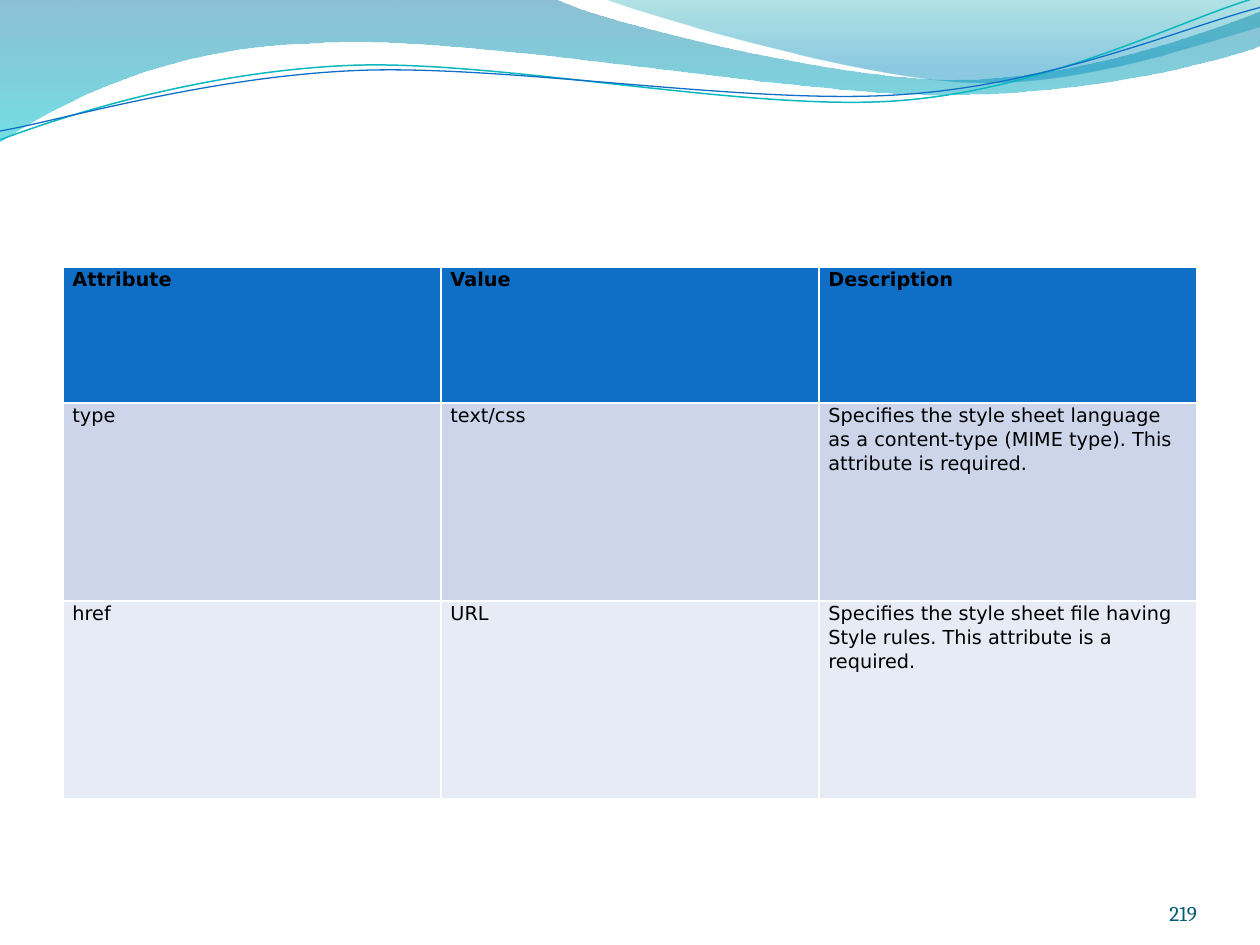
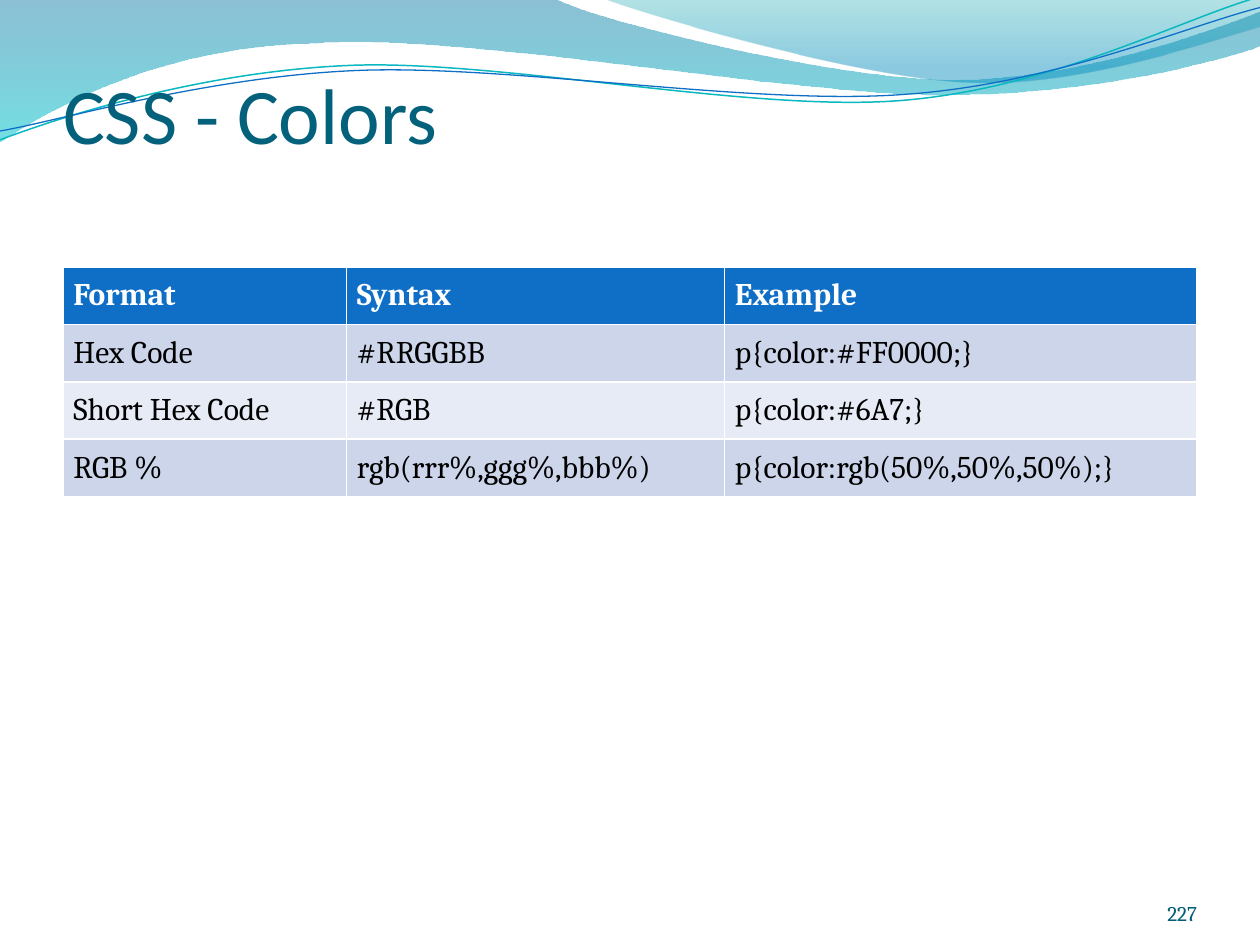
from dataclasses import dataclass

from lxml import etree
from pptx import Presentation
from pptx.dml.color import RGBColor
from pptx.enum.text import MSO_ANCHOR, MSO_AUTO_SIZE, PP_ALIGN
from pptx.oxml.ns import qn
from pptx.util import Inches, Pt

LEFT, RIGHT = PP_ALIGN.LEFT, PP_ALIGN.RIGHT
BOTTOM = MSO_ANCHOR.BOTTOM
NO_FIT = MSO_AUTO_SIZE.NONE

WIDTH, HEIGHT = 10, 7.5
MARGIN = 0.05 * WIDTH
COLUMN = (WIDTH - 2 * MARGIN) / 12
TABLE_TOP = 2.12


@dataclass(frozen=True)
class Theme:
    title: str = "04617B"
    number: str = "045D75"
    header: str = "0F6FC6"
    bands: tuple = ("CCD5EA", "E7EBF5")
    dark: str = "000000"
    light: str = "FFFFFF"
    teal_line: str = "0AB8BF"
    blue_line: str = "0F6FC6"
    title_font: str = "Calibri"
    body_font: str = "Cambria"
    title_size: float = 45
    number_size: float = 12


@dataclass(frozen=True)
class TableStyle:
    """Text settings of a table, with insets in points."""
    font: str
    size: float
    header_color: str
    inset_x: float
    inset_y: float
    line_spacing: float


THEME = Theme()
ROOMY = TableStyle("DejaVu Sans", 11, THEME.dark, 5.4, 0, 1.07)
COMPACT = TableStyle(THEME.body_font, 18, THEME.light, 6, 6, 1.0)

# Each outline is a list of steps: two numbers for a line, six for a Bézier curve.
WIDE_WAVE = [
    (0, 0), (4.4, -0.01),
    (4.76, 0.17, 6.64, 0.63, 7.58, 0.63), (8.53, 0.63, 9.58, 0.26, 10, 0.09),
    (10.01, 0.36),
    (9.83, 0.44, 8.7, 0.76, 7.46, 0.75), (6.22, 0.75, 3.82, 0.28, 2.57, 0.34),
    (1.29, 0.36, 0.46, 0.83, -0.01, 1.13), (0, 0),
]
RIGHT_WAVE = [
    (4.79, -0.01),
    (5.09, 0.11, 6.82, 0.62, 7.69, 0.65), (8.56, 0.69, 9.61, 0.32, 10, 0.21),
    (10, 0), (4.79, -0.01),
]
TEAL_CURVE = [
    (0, 1.11),
    (0.48, 0.93, 1.58, 0.57, 2.77, 0.52), (3.95, 0.47, 5.93, 0.89, 7.13, 0.8),
    (8.33, 0.71, 9.38, 0.15, 9.98, -0.02),
]
BLUE_CURVE = [
    (0, 1.04),
    (0.47, 0.96, 1.64, 0.61, 2.83, 0.56), (4.03, 0.51, 5.97, 0.84, 7.17, 0.75),
    (8.36, 0.67, 9.41, 0.21, 10, 0.06),
]

ATTRIBUTES = [
    ("Attribute", "Value", "Description"),
    ("type", "text/css", "Specifies the style sheet language as a content-type "
     "(MIME type). This attribute is required."),
    ("href", "URL", "Specifies the style sheet file having Style rules. "
     "This attribute is a required."),
]
COLOR_FORMATS = [
    ("Format", "Syntax", "Example"),
    ("Hex Code", "#RRGGBB", "p{color:#FF0000;}"),
    ("Short Hex Code", "#RGB", "p{color:#6A7;}"),
    ("RGB %", "rgb(rrr%,ggg%,bbb%)", "p{color:rgb(50%,50%,50%);}"),
]


def rgb(value):
    return RGBColor.from_string(value)


def set_font(para, name, size, color, bold=False):
    para.font.name, para.font.size, para.font.bold = name, Pt(size), bold
    para.font.color.rgb = rgb(color)


def set_insets(target, left, top, right, bottom):
    target.margin_left, target.margin_top = Pt(left), Pt(top)
    target.margin_right, target.margin_bottom = Pt(right), Pt(bottom)


def bend_lines(shape, outline):
    """Turn the lines that stand for six-number steps into Bézier curves."""
    lines = list(shape.element.spPr.iter(qn("a:lnTo")))
    for line, step in zip(lines, outline[1:]):
        if len(step) == 2:
            continue
        curve = etree.Element(qn("a:cubicBezTo"))
        for x, y in zip(step[::2], step[1::2]):
            etree.SubElement(curve, qn("a:pt"), x=str(Inches(x) - shape.left),
                             y=str(Inches(y) - shape.top))
        line.getparent().replace(line, curve)


def add_outline(page, outline, close):
    points = [(Inches(step[-2]), Inches(step[-1])) for step in outline]
    builder = page.shapes.build_freeform(*points[0])
    builder.add_line_segments(points[1:], close=close)
    shape = builder.convert_to_shape()
    bend_lines(shape, outline)
    shape.shadow.inherit = False
    return shape


def add_wave(page, outline, stops):
    """Add a filled wave; stops are (position, colour, opacity in percent)."""
    wave = add_outline(page, outline, close=True)
    wave.line.fill.background()
    wave.fill.gradient()
    wave.fill.gradient_angle = 270
    for stop, (position, color, _) in zip(wave.fill.gradient_stops, stops):
        stop.position = position
        stop.color.rgb = rgb(color)
    tints = wave.element.spPr.iter(qn("a:srgbClr"))
    for tint, (_, _, opacity) in zip(tints, stops):
        etree.SubElement(tint, qn("a:alpha")).set("val", str(opacity * 1000))
    return wave


def add_curve(page, outline, color, width):
    curve = add_outline(page, outline, close=False)
    curve.fill.background()
    curve.line.color.rgb = rgb(color)
    curve.line.width = Pt(width)
    return curve


def move_waves_to_master(page, master):
    """Draw the header waves once, behind the content of every slide."""
    waves = [
        add_wave(page, WIDE_WAVE, [(0, "0074A1", 45), (1, "00C6CF", 55)]),
        add_wave(page, RIGHT_WAVE, [(0, "00A1A9", 30), (0.8, "008BBF", 45)]),
        add_curve(page, TEAL_CURVE, THEME.teal_line, 0.85),
        add_curve(page, BLUE_CURVE, THEME.blue_line, 0.75),
    ]
    for wave in waves:
        master.shapes.element.append(wave.element)


def set_title(page, text):
    title = page.shapes.title
    title.left, title.top = Inches(MARGIN), Inches(0.77)
    title.width, title.height = Inches(12 * COLUMN), Inches(1.25)
    frame = title.text_frame
    frame.text = text
    frame.auto_size = NO_FIT
    frame.vertical_anchor = BOTTOM
    set_insets(frame, 0, 3.6, 0, 0)
    para = frame.paragraphs[0]
    para.alignment = LEFT
    set_font(para, THEME.title_font, THEME.title_size, THEME.title)
    for span in para.runs:
        span.font.size = Pt(THEME.title_size)


def add_page_number(page, number):
    width = 0.83
    box = page.shapes.add_textbox(Inches(WIDTH - MARGIN - width), Inches(6.95),
                                  Inches(width), Inches(0.4))
    frame = box.text_frame
    frame.word_wrap = True
    frame.vertical_anchor = BOTTOM
    set_insets(frame, 0, 0, 0, 0)
    para = frame.paragraphs[0]
    para.text = str(number)
    para.alignment = RIGHT
    set_font(para, THEME.body_font, THEME.number_size, THEME.number)


def fill_cell(cell, text, row, style):
    header = row == 0
    cell.fill.solid()
    cell.fill.fore_color.rgb = rgb(THEME.header if header else THEME.bands[(row - 1) % 2])
    set_insets(cell, style.inset_x, style.inset_y, style.inset_x, style.inset_y)
    para = cell.text_frame.paragraphs[0]
    para.text = text
    para.line_spacing = style.line_spacing
    set_font(para, style.font, style.size,
             style.header_color if header else THEME.dark, header)


def add_data_table(page, rows, spans, heights, frame_height, style):
    """Add a table whose column widths are given in grid columns."""
    frame = page.shapes.add_table(
        len(rows), len(spans), Inches(MARGIN), Inches(TABLE_TOP),
        Inches(sum(spans) * COLUMN), Inches(frame_height))
    table = frame.table
    for column, span in zip(table.columns, spans):
        column.width = Inches(span * COLUMN)
    for index, (height, texts) in enumerate(zip(heights, rows)):
        table.rows[index].height = Inches(height)
        for column, text in enumerate(texts):
            fill_cell(table.cell(index, column), text, index, style)
    frame.height = Inches(frame_height)


def main():
    deck = Presentation()
    deck.slide_width, deck.slide_height = Inches(WIDTH), Inches(HEIGHT)
    title_only = deck.slide_layouts[5]

    page = deck.slides.add_slide(title_only)
    move_waves_to_master(page, deck.slide_master)
    empty_title = page.shapes.title.element
    empty_title.getparent().remove(empty_title)
    add_data_table(page, ATTRIBUTES, (4, 4, 4), (1.08, 1.57, 1.57), 4.22, ROOMY)
    add_page_number(page, 219)

    page = deck.slides.add_slide(title_only)
    set_title(page, "CSS - Colors\v")
    add_data_table(page, COLOR_FORMATS, (3, 4, 5), [0.41] * 4, 1.87, COMPACT)
    add_page_number(page, 227)

    deck.save("out.pptx")


if __name__ == "__main__":
    main()
